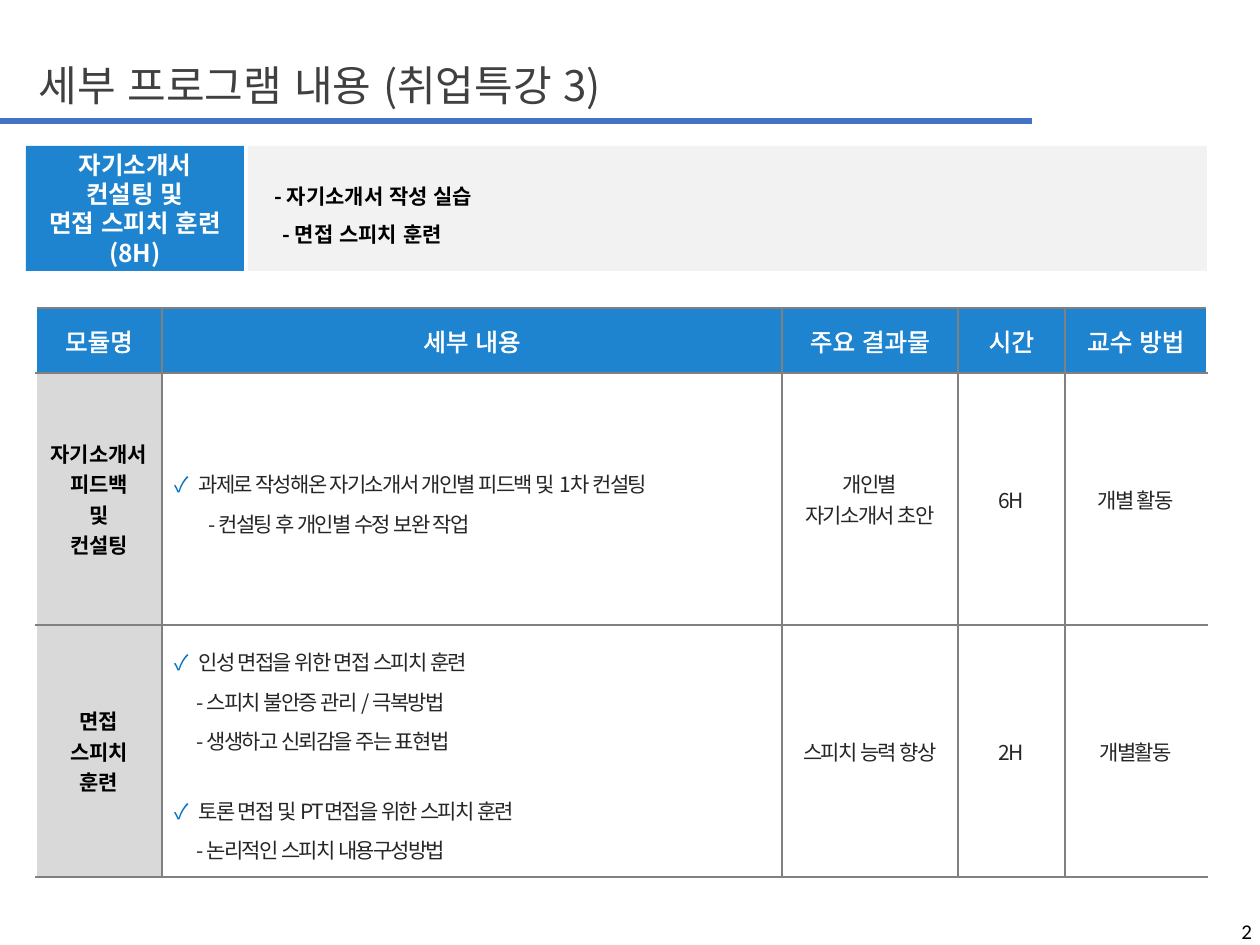
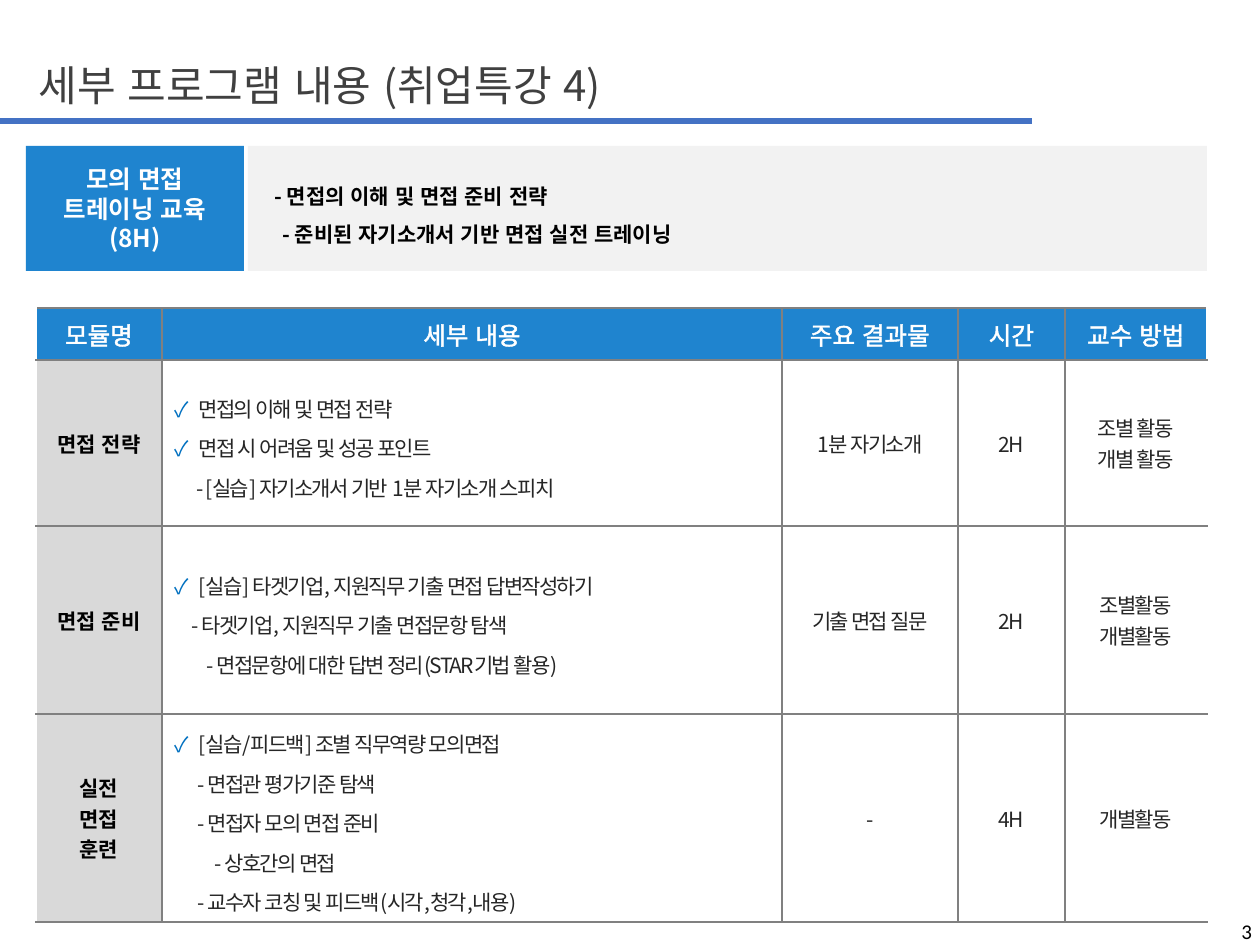
from lxml import etree
from pptx import Presentation
from pptx import util as u
from pptx.dml import color
from pptx.enum import lang, shapes, text
from pptx.oxml import ns

PX = 914400 // 126
FONT = "Noto Sans CJK KR"
BLUE, GREY, WHITE, BLACK = "1F84CF", "808080", "FFFFFF", "000000"
DARK, PALE, LABEL, CHECK, RULE = "262626", "F2F2F2", "D9D9D9", "0070C0", "4472C4"
LEFT, CENTER, RIGHT = text.PP_ALIGN.LEFT, text.PP_ALIGN.CENTER, text.PP_ALIGN.RIGHT
HEADINGS = ["모듈명", "세부 내용", "주요 결과물", "시간", "교수 방법"]
COLUMNS = [126, 620, 176, 107, 142]
HANGING = 24

SLIDES = [
    {
        "number": 2,
        "title": "세부 프로그램 내용 (취업특강 3)",
        "course": ["자기소개서", "컨설팅 및", "면접 스피치 훈련 (8H)"],
        "goals": [(14, "- 자기소개서 작성 실습"), (22, "- 면접 스피치 훈련")],
        "heights": [65, 252, 252],
        "modules": [
            (["자기소개서", "피드백", "및", "컨설팅"],
             [(0, "과제로 작성해온 자기소개서 개인별 피드백 및 1차 컨설팅"),
              (34, "- 컨설팅 후 개인별 수정 보완 작업")],
             ["개인별", "자기소개서 초안"], ["6H"], ["개별 활동"]),
            (["면접", "스피치", "훈련"],
             [(0, "인성 면접을 위한 면접 스피치 훈련"),
              (22, "- 스피치 불안증 관리 / 극복방법"),
              (22, "- 생생하고 신뢰감을 주는 표현법"),
              (0, "토론 면접 및 PT면접을 위한 스피치 훈련", 17),
              (22, "- 논리적인 스피치 내용구성방법")],
             ["스피치 능력 향상"], ["2H"], ["개별활동"]),
        ],
    },
    {
        "number": 3,
        "title": "세부 프로그램 내용 (취업특강 4)",
        "course": ["모의 면접", "트레이닝 교육 (8H)"],
        "goals": [(14, "- 면접의 이해 및 면접 준비 전략"),
                  (22, "- 준비된 자기소개서 기반 면접 실전 트레이닝")],
        "heights": [52, 166, 188, 208],
        "modules": [
            (["면접 전략"],
             [(0, "면접의 이해 및 면접 전략"),
              (0, "면접 시 어려움 및 성공 포인트"),
              (22, "- [실습] 자기소개서 기반 1분 자기소개 스피치")],
             ["1분 자기소개"], ["2H"], ["조별 활동", "개별 활동"]),
            (["면접 준비"],
             [(0, "[실습] 타겟기업, 지원직무 기출 면접 답변작성하기"),
              (17, "- 타겟기업, 지원직무 기출 면접문항 탐색"),
              (32, "- 면접문항에 대한 답변 정리(STAR기법 활용)")],
             ["기출 면접 질문"], ["2H"], ["조별활동", "개별활동"]),
            (["실전", "면접", "훈련"],
             [(0, "[실습/피드백] 조별 직무역량 모의면접"),
              (23, "- 면접관 평가기준 탐색"),
              (23, "- 면접자 모의 면접 준비"),
              (40, "- 상호간의 면접"),
              (23, "- 교수자 코칭 및 피드백(시각,청각,내용)")],
             ["-"], ["4H"], ["개별활동"]),
        ],
    },
]


def paint(target, value):
    if hasattr(target, "solid"):
        target.solid()
        target = target.fore_color
    target.rgb = color.RGBColor.from_string(value)


def write(frame, lines, size, value, align=CENTER, bold=False, spacing=None, font=FONT, tracking=0):
    for index, line in enumerate(lines):
        indent, words, gap = (*line, 0)[:3] if isinstance(line, tuple) else (None, line, 0)
        paragraph = frame.paragraphs[0] if index == 0 else frame.add_paragraph()
        paragraph.text = words
        paragraph.alignment = align
        if spacing:
            paragraph.line_spacing = spacing
        if gap:
            paragraph.space_before = u.Pt(gap)
        paragraph.font.size = u.Pt(size)
        paragraph.font.bold = bold
        paragraph.font.name = font
        paragraph.font.language_id = lang.MSO_LANGUAGE_ID.KOREAN
        paint(paragraph.font.fill, value)
        properties = paragraph._p.get_or_add_pPr()
        defaults = properties.find(ns.qn("a:defRPr"))
        etree.SubElement(defaults, ns.qn("a:ea"), typeface=font)
        if tracking:
            defaults.set("spc", str(tracking))
        if indent is not None:
            properties.set("marL", str((indent or HANGING) * PX))
            properties.set("indent", str(0 if indent else -HANGING * PX))
        if indent == 0:
            bullet_color = etree.Element(ns.qn("a:buClr"))
            etree.SubElement(bullet_color, ns.qn("a:srgbClr"), val=CHECK)
            defaults.addprevious(bullet_color)
            defaults.addprevious(etree.Element(ns.qn("a:buFont"), typeface=font))
            defaults.addprevious(etree.Element(ns.qn("a:buChar"), char="✓"))


presentation = Presentation()
presentation.slide_width, presentation.slide_height = 1260 * PX, 945 * PX

for content in SLIDES:
    slide = presentation.slides.add_slide(presentation.slide_layouts[5])

    title = slide.shapes.title
    title.left, title.top, title.width, title.height = (n * PX for n in (26, 42, 1134, 92))
    title.text_frame.auto_size = text.MSO_AUTO_SIZE.NONE
    title.text_frame.vertical_anchor = text.MSO_ANCHOR.MIDDLE
    write(title.text_frame, [content["title"]], 24, "404040", LEFT, spacing=0.9)

    rule = slide.shapes.add_connector(shapes.MSO_CONNECTOR.STRAIGHT, 0, 121 * PX, 1032 * PX, 121 * PX)
    rule.line.width = u.Pt(3)
    paint(rule.line.fill, RULE)
    etree.SubElement(rule._element.spPr, ns.qn("a:effectLst"))

    number = slide.shapes.add_textbox(981 * PX, 906 * PX, 279 * PX, 39 * PX)
    number.height = 50 * PX
    number.text_frame.word_wrap = True
    number.text_frame.margin_right = 8 * PX
    number.text_frame.vertical_anchor = text.MSO_ANCHOR.MIDDLE
    write(number.text_frame, [str(content["number"])], 12, BLACK, RIGHT, font="Calibri")

    bands = []
    for left, width, fill in ((26, 218, BLUE), (248, 959, PALE)):
        band = slide.shapes.add_shape(shapes.MSO_SHAPE.RECTANGLE, left * PX, 146 * PX, width * PX, 125 * PX)
        band.shadow.inherit = False
        band.line.fill.background()
        paint(band.fill, fill)
        band.text_frame.vertical_anchor = text.MSO_ANCHOR.MIDDLE
        bands.append(band.text_frame)
    write(bands[0], content["course"], 14, WHITE, bold=True)
    write(bands[1], content["goals"], 12, BLACK, LEFT, bold=True, spacing=1.5)

    heights = content["heights"]
    frame = slide.shapes.add_table(len(heights), len(COLUMNS), 36 * PX, 308 * PX,
                                   sum(COLUMNS) * PX, sum(heights) * PX)
    table = frame.table
    table.horz_banding = False
    for column, width in zip(table.columns, COLUMNS):
        column.width = width * PX
    for row, height in zip(table.rows, heights):
        row.height = height * PX

    rows = [[[heading] for heading in HEADINGS], *content["modules"]]
    for row_index, row in enumerate(rows):
        for column_index, lines in enumerate(row):
            cell = table.cell(row_index, column_index)
            cell.vertical_anchor = text.MSO_ANCHOR.MIDDLE
            cell.margin_top = cell.margin_bottom = (5 if row_index else 6) * PX
            properties = cell._tc.get_or_add_tcPr()
            for side in "LRTB":
                outer = (side, column_index) in (("L", 0), ("R", len(COLUMNS) - 1))
                border = etree.SubElement(properties, ns.qn("a:ln" + side), w=str(u.Pt(1)))
                solid = etree.SubElement(border, ns.qn("a:solidFill"))
                etree.SubElement(solid, ns.qn("a:srgbClr"), val=WHITE if outer else GREY)
            if row_index == 0:
                paint(cell.fill, BLUE)
                write(cell.text_frame, lines, 14, WHITE)
                outline = etree.Element(ns.qn("a:ln"), w=str(u.Pt(0.75)))
                solid = etree.SubElement(outline, ns.qn("a:solidFill"))
                etree.SubElement(solid, ns.qn("a:srgbClr"), val=WHITE)
                cell.text_frame.paragraphs[0].font._element.insert(0, outline)
            elif column_index == 0:
                paint(cell.fill, LABEL)
                write(cell.text_frame, lines, 12, BLACK, bold=True)
            else:
                cell.fill.background()
                detail = column_index == 1
                write(cell.text_frame, lines, 12, DARK, LEFT if detail else CENTER,
                      spacing=1.3 if detail else None, tracking=-100)

presentation.save("out.pptx")
